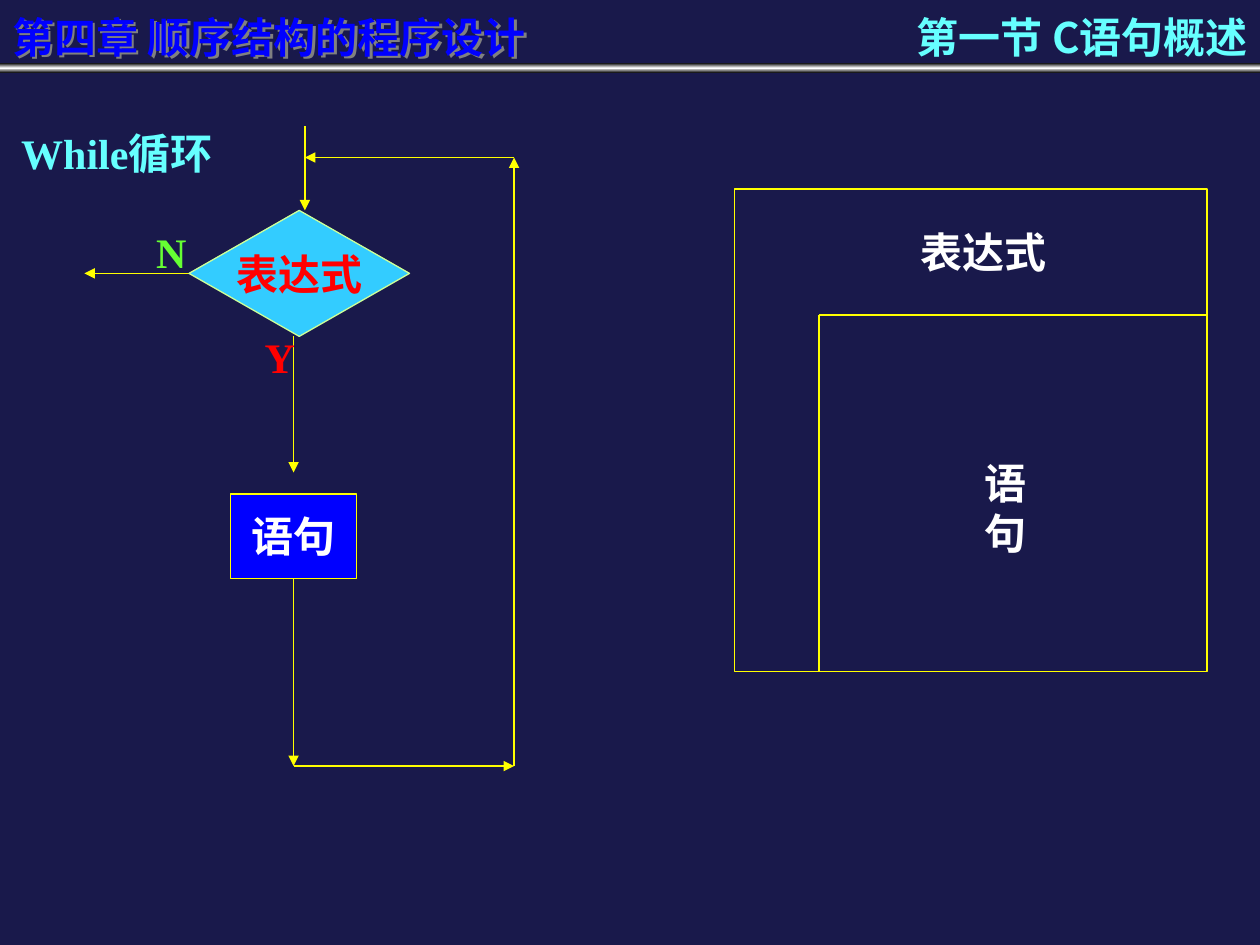
from copy import deepcopy

from lxml import etree
from pptx import Presentation
from pptx.dml.color import RGBColor
from pptx.enum.shapes import MSO_CONNECTOR, MSO_SHAPE
from pptx.enum.text import MSO_ANCHOR, PP_ALIGN
from pptx.oxml import parse_xml
from pptx.oxml.ns import qn
from pptx.util import Inches, Pt

RECT = MSO_SHAPE.RECTANGLE
STEP = MSO_SHAPE.FLOWCHART_PROCESS
TEST = MSO_SHAPE.FLOWCHART_DECISION
LINE = MSO_CONNECTOR.STRAIGHT
LEFT, MID, RIGHT = PP_ALIGN.LEFT, PP_ALIGN.CENTER, PP_ALIGN.RIGHT
TOP, MIDDLE = MSO_ANCHOR.TOP, MSO_ANCHOR.MIDDLE

NAVY = RGBColor(0x19, 0x19, 0x4B)
BLUE = RGBColor(0x00, 0x00, 0xFF)
SKY = RGBColor(0x33, 0xCC, 0xFF)
CYAN = RGBColor(0x66, 0xFF, 0xFF)
YELLOW = RGBColor(0xFF, 0xFF, 0x00)
LIME = RGBColor(0xCC, 0xFF, 0x99)
GREEN = RGBColor(0x66, 0xFF, 0x33)
RED = RGBColor(0xFF, 0x00, 0x00)
WHITE = RGBColor(0xFF, 0xFF, 0xFF)
BLACK = RGBColor(0x00, 0x00, 0x00)

SERIF = "Times New Roman"
SANS = "Noto Sans CJK SC"
SHADOW = (
    '<a:effectLst xmlns:a="http://schemas.openxmlformats.org/drawingml/2006/main">'
    '<a:outerShdw dist="25400" dir="2700000" algn="ctr" rotWithShape="0">'
    '<a:srgbClr val="808080"/></a:outerShdw></a:effectLst>'
)


def write(shape, text, color=WHITE, font=SERIF, align=MID, anchor=MIDDLE):
    frame = shape.text_frame
    frame.word_wrap = False
    frame.vertical_anchor = anchor
    para = frame.paragraphs[0]
    para.alignment = align
    run = para.add_run()
    run.text = text
    run.font.name = font
    run.font.size = Pt(24)
    run.font.bold = True
    run.font.color.rgb = color
    east = etree.SubElement(run.font._element, qn("a:ea"))
    east.set("typeface", SANS)


def label(slide, box, text, **style):
    shape = slide.shapes.add_textbox(*map(Inches, box))
    write(shape, text, **style)
    return shape


def block(slide, kind, box, fill=None, line=YELLOW):
    shape = slide.shapes.add_shape(kind, *map(Inches, box))
    shape.shadow.inherit = False
    if fill is None:
        shape.fill.background()
    else:
        shape.fill.solid()
        shape.fill.fore_color.rgb = fill
    if line is None:
        shape.line.fill.background()
    else:
        shape.line.color.rgb = line
        shape.line.width = Pt(0.75)
    return shape


def link(slide, start, end, arrow=True):
    wire = slide.shapes.add_connector(LINE, *map(Inches, start + end))
    wire.line.color.rgb = YELLOW
    wire.line.width = Pt(0.75)
    if arrow:
        tail = etree.SubElement(wire.line._get_or_add_ln(), qn("a:tailEnd"))
        tail.set("type", "triangle")
    etree.SubElement(wire._element.spPr, qn("a:effectLst"))


def header(slide):
    bar = block(slide, RECT, (0, 0.5, 10, 0.08), line=None)
    bar.fill.gradient()
    bar.fill.gradient_angle = 90
    stops = bar._element.spPr.find(".//" + qn("a:gsLst"))
    stops.insert(1, deepcopy(stops[0]))
    tints = zip(bar.fill.gradient_stops, (0, 0.5, 1), (BLACK, WHITE, BLACK))
    for stop, place, tint in tints:
        stop.position = place
        stop.color.rgb = tint
    title = label(slide, (0, 0, 4.92, 0.58), "第四章 顺序结构的程序设计",
                  color=BLUE, font=SANS, align=LEFT)
    title._element.spPr.append(parse_xml(SHADOW))
    label(slide, (6.08, 0, 3.92, 0.58), "第一节 C语句概述",
          color=CYAN, font=SANS, align=RIGHT)


def flow(slide):
    entry, axis, back = 2.42, 2.33, 4.08
    join, base = 1.25, 6.08
    label(slide, (0.07, 0.96, 1.8, 0.5), "While循环",
          color=CYAN, align=LEFT, anchor=TOP)
    link(slide, (entry, 1), (entry, join), arrow=False)
    arrows = [
        ((entry, join), (entry, 1.67)),
        ((axis, 2.67), (axis, 3.75)),
        ((axis, 4.58), (axis, base)),
        ((axis, base), (back, base)),
        ((back, base), (back, join)),
        ((back, join), (entry, join)),
        ((1.5, 2.17), (0.67, 2.17)),
    ]
    for start, end in arrows:
        link(slide, start, end)
    write(block(slide, STEP, (1.83, 3.92, 1, 0.67), BLUE), "语句")
    label(slide, (1.14, 1.75, 0.44, 0.5), "N", color=GREEN, anchor=TOP)
    label(slide, (2, 2.58, 0.44, 0.5), "Y", color=RED, anchor=TOP)
    test = block(slide, TEST, (1.5, 1.67, 1.75, 1), SKY, LIME)
    write(test, "表达式", color=RED)


def nest(slide):
    block(slide, RECT, (5.83, 1.5, 3.75, 3.83))
    link(slide, (6.5, 5.33), (6.5, 2.5), arrow=False)
    link(slide, (6.5, 2.5), (9.58, 2.5), arrow=False)
    label(slide, (7.21, 1.75, 1.2, 0.5), "表达式", anchor=TOP)
    label(slide, (7.55, 3.58, 0.86, 0.5), "语句", anchor=TOP)


def main():
    deck = Presentation()
    deck.slide_width = Inches(10)
    deck.slide_height = Inches(7.5)
    slide = deck.slides.add_slide(deck.slide_layouts[6])
    slide.background.fill.solid()
    slide.background.fill.fore_color.rgb = NAVY
    header(slide)
    flow(slide)
    nest(slide)
    deck.save("out.pptx")


if __name__ == "__main__":
    main()
